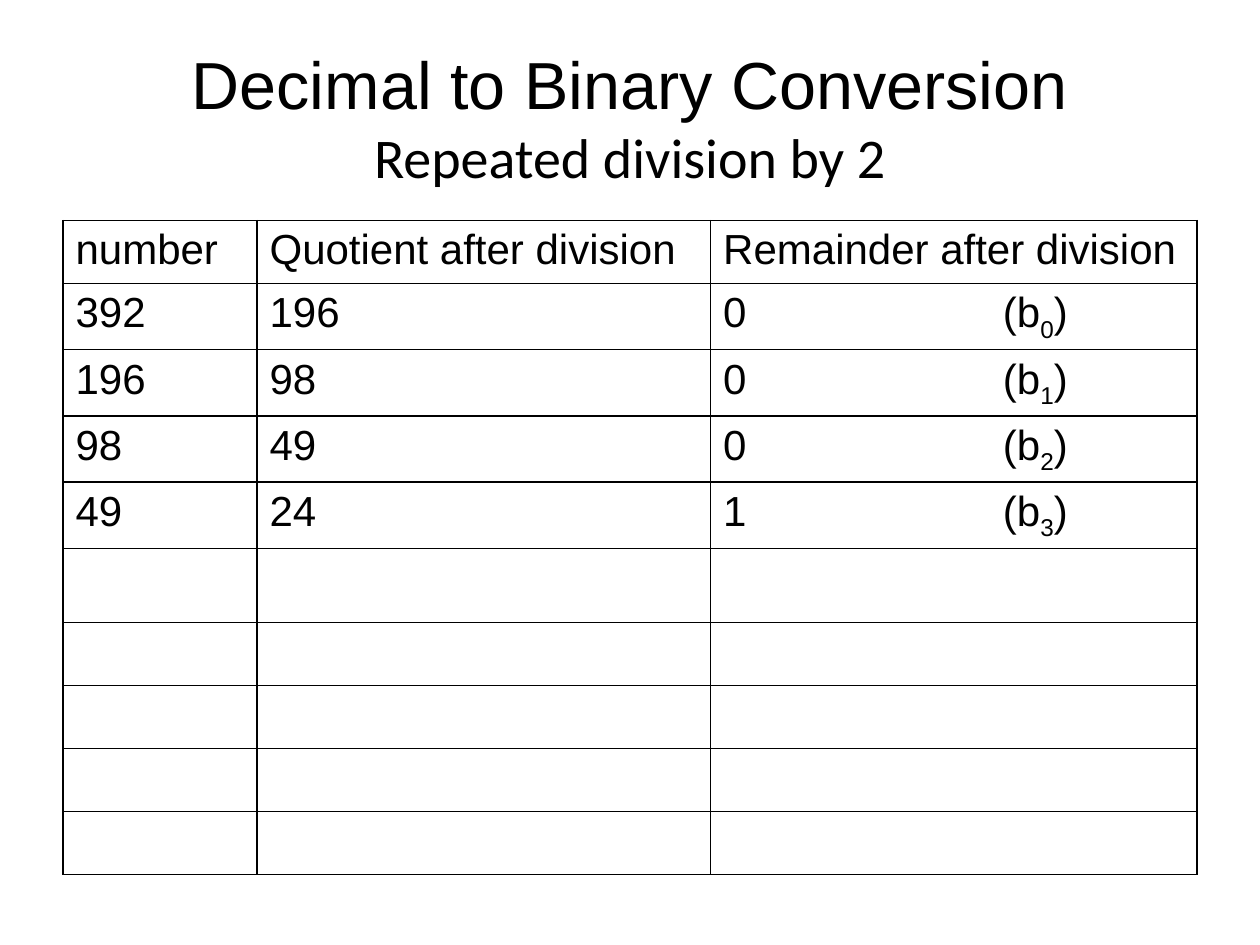
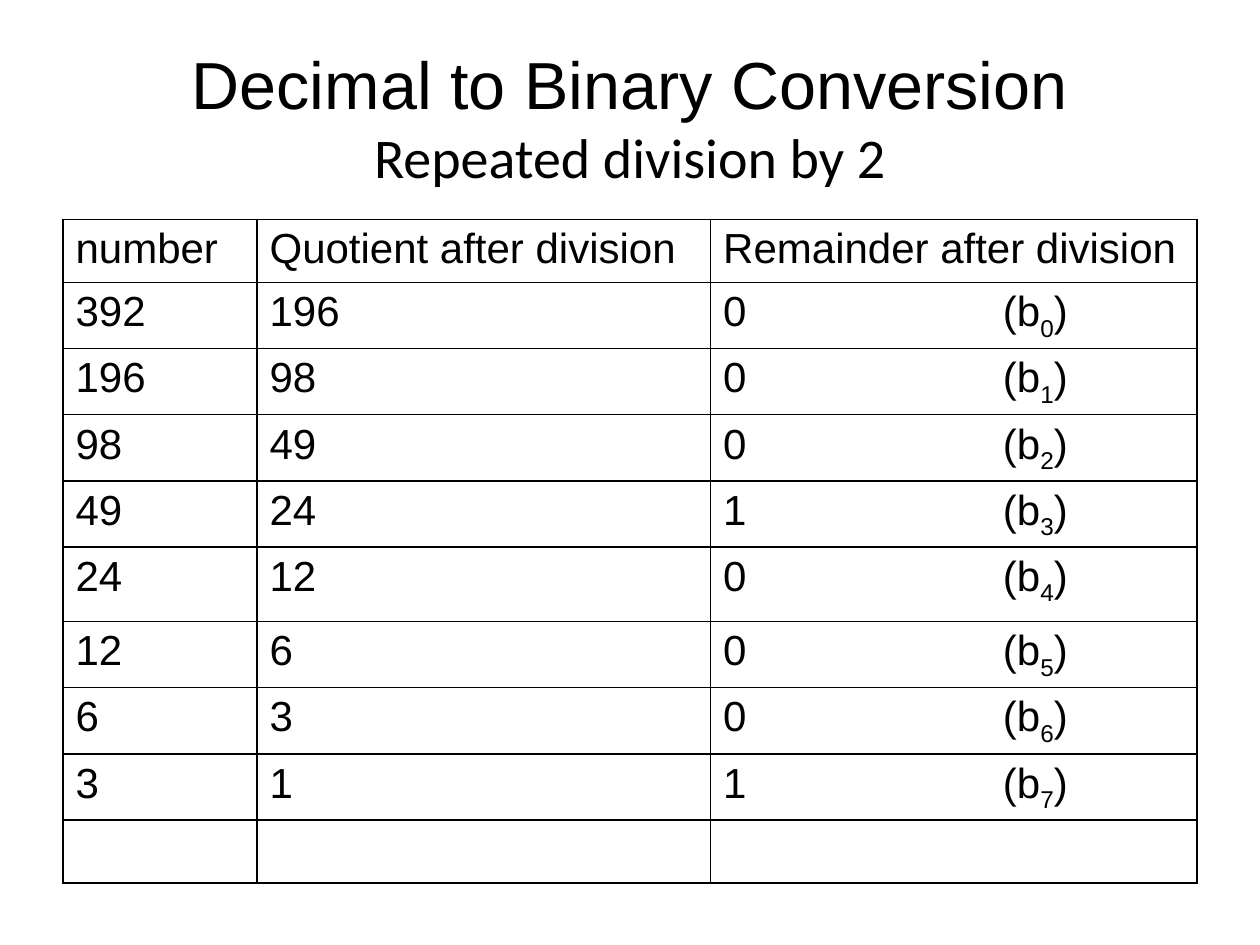
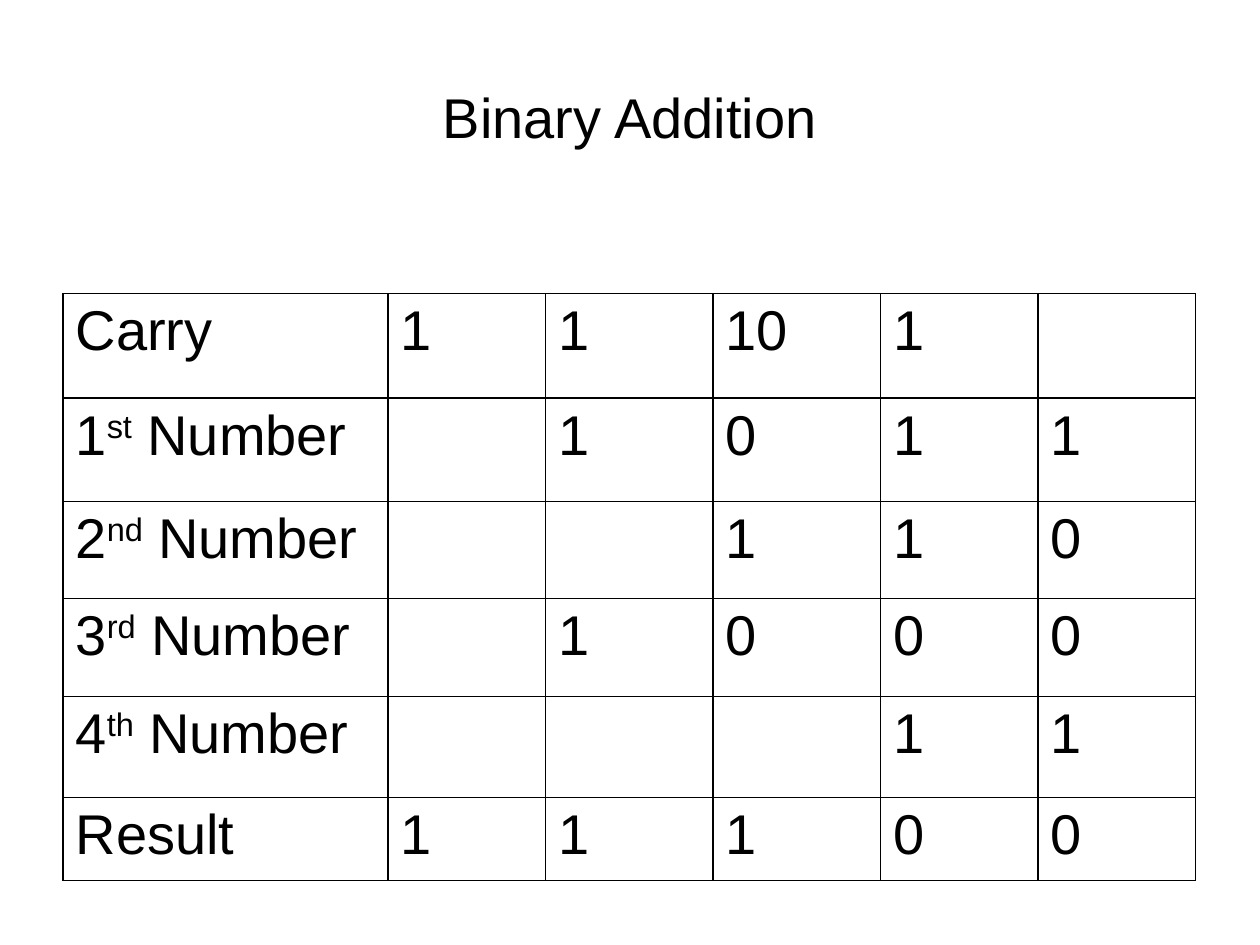
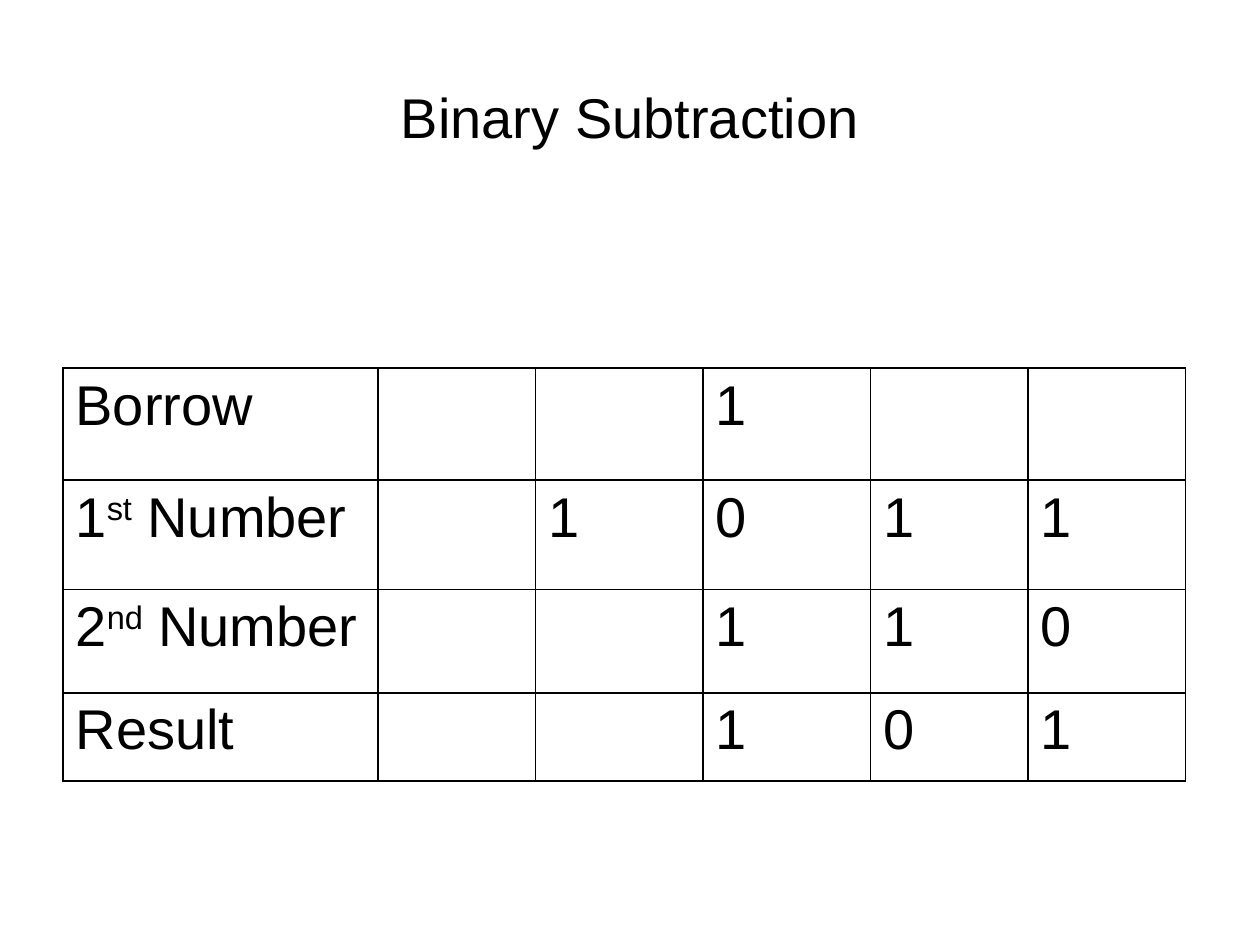
from lxml import etree
from pptx import Presentation
from pptx import util as u
from pptx.dml.color import RGBColor
from pptx.enum import text
from pptx.oxml import ns

PX = 9144
COLORS = {"ink": "000000"}
TITLE_BOX = (50, 30, 900, 125)
LEFT = 50
HANGING = 38
BIT_TAB = 222
SUPERSCRIPT, SUBSCRIPT = 30000, -25000
DIVISION_TITLE = [("Decimal to Binary Conversion", 38, "Arial"),
                  ("Repeated division by 2", 32, "Calibri")]
DIVISION_COLUMNS = [154, 360, 386]
DIVISION_ROWS = [50] * 5 + [59] + [50] * 4


def px(length):
    return u.Emu(length * PX)


def style_font(font, size, face):
    font.size = u.Pt(size)
    font.name = face
    font.color.rgb = RGBColor.from_string(COLORS["ink"])


def add_titled_slide(deck, lines):
    slide = deck.slides.add_slide(deck.slide_layouts[5])
    title = slide.shapes.title
    title.left, title.top, title.width, title.height = map(px, TITLE_BOX)
    frame = title.text_frame
    frame.auto_size = text.MSO_AUTO_SIZE.NONE
    frame.vertical_anchor = text.MSO_ANCHOR.MIDDLE
    heading = frame.paragraphs[0]
    heading.alignment = text.PP_ALIGN.CENTER
    for position, (words, size, face) in enumerate(lines):
        if position:
            heading.add_line_break()
        run = heading.add_run()
        run.text = words
        style_font(run.font, size, face)
    return slide


def border_cell(cell):
    properties = cell._tc.get_or_add_tcPr()
    for side in ("lnL", "lnR", "lnT", "lnB"):
        line = etree.SubElement(properties, ns.qn(f"a:{side}"), w=str(u.Pt(1)))
        fill = etree.SubElement(line, ns.qn("a:solidFill"))
        etree.SubElement(fill, ns.qn("a:srgbClr"), val=COLORS["ink"])


def indent(paragraph, tabbed):
    properties = paragraph._p.get_or_add_pPr()
    if tabbed:
        stops = etree.SubElement(properties, ns.qn("a:tabLst"))
        etree.SubElement(stops, ns.qn("a:tab"), pos=str(px(BIT_TAB)), algn="l")
    else:
        properties.set("marL", str(px(HANGING)))
        properties.set("indent", str(px(-HANGING)))


def fill_cell(cell, content, size):
    border_cell(cell)
    cell.fill.background()
    if not content:
        return
    pieces = [(content, 0)] if isinstance(content, str) else content
    paragraph = cell.text_frame.paragraphs[0]
    paragraph.alignment = text.PP_ALIGN.JUSTIFY
    indent(paragraph, "\t" in pieces[0][0])
    style_font(paragraph.font, size, "Arial")
    for words, baseline in pieces:
        run = paragraph.add_run()
        run.text = words
        style_font(run.font, size, "Arial")
        if baseline:
            run._r.get_or_add_rPr().set("baseline", str(baseline))


def add_grid(slide, top, widths, heights, rows, size):
    frame = slide.shapes.add_table(len(heights), len(widths), px(LEFT), px(top),
                                   px(sum(widths)), px(sum(heights)))
    table = frame.table
    table.first_row = table.horz_banding = False
    for column, width in zip(table.columns, widths):
        column.width = px(width)
    for row, height in zip(table.rows, heights):
        row.height = px(height)
    for r in range(len(heights)):
        for c in range(len(widths)):
            content = rows[r][c] if r < len(rows) else ""
            fill_cell(table.cell(r, c), content, size)


def division_rows(number, steps):
    rows = [["number", "Quotient after division", "Remainder after division"]]
    for bit in range(steps):
        quotient, remainder = divmod(number, 2)
        bit_label = [(f"{remainder}\t(b", 0), (str(bit), SUBSCRIPT), (")", 0)]
        rows.append([str(number), str(quotient), bit_label])
        number = quotient
    return rows


def ordinal(number, suffix):
    return [(number, 0), (suffix, SUPERSCRIPT), (" Number", 0)]


def add_division_slide(deck, top, steps):
    slide = add_titled_slide(deck, DIVISION_TITLE)
    add_grid(slide, top, DIVISION_COLUMNS, DIVISION_ROWS,
             division_rows(392, steps), 24)


def add_arithmetic_slide(deck, title, top, label_width, heights, rows):
    slide = add_titled_slide(deck, [(title, 32, "Arial")])
    widths = [label_width, 125, 133, 133, 125, 125]
    add_grid(slide, top, widths, heights, rows, 32)


def main():
    deck = Presentation()
    deck.slide_width, deck.slide_height = px(1000), px(750)
    add_division_slide(deck, 175, 4)
    add_division_slide(deck, 174, 8)
    first = [ordinal("1", "st"), "", "1", "0", "1", "1"]
    second = [ordinal("2", "nd"), "", "", "1", "1", "0"]
    add_arithmetic_slide(deck, "Binary Addition", 233, 258,
                         [83, 82, 77, 78, 80, 66], [
                             ["Carry", "1", "1", "10", "1", ""],
                             first,
                             second,
                             [ordinal("3", "rd"), "", "1", "0", "0", "0"],
                             [ordinal("4", "th"), "", "", "", "1", "1"],
                             ["Result", "1", "1", "1", "0", "0"]])
    add_arithmetic_slide(deck, "Binary Subtraction", 292, 250,
                         [89, 87, 82, 70], [
                             ["Borrow", "", "", "1", "", ""],
                             first,
                             second,
                             ["Result", "", "", "1", "0", "1"]])
    deck.save("out.pptx")


if __name__ == "__main__":
    main()
